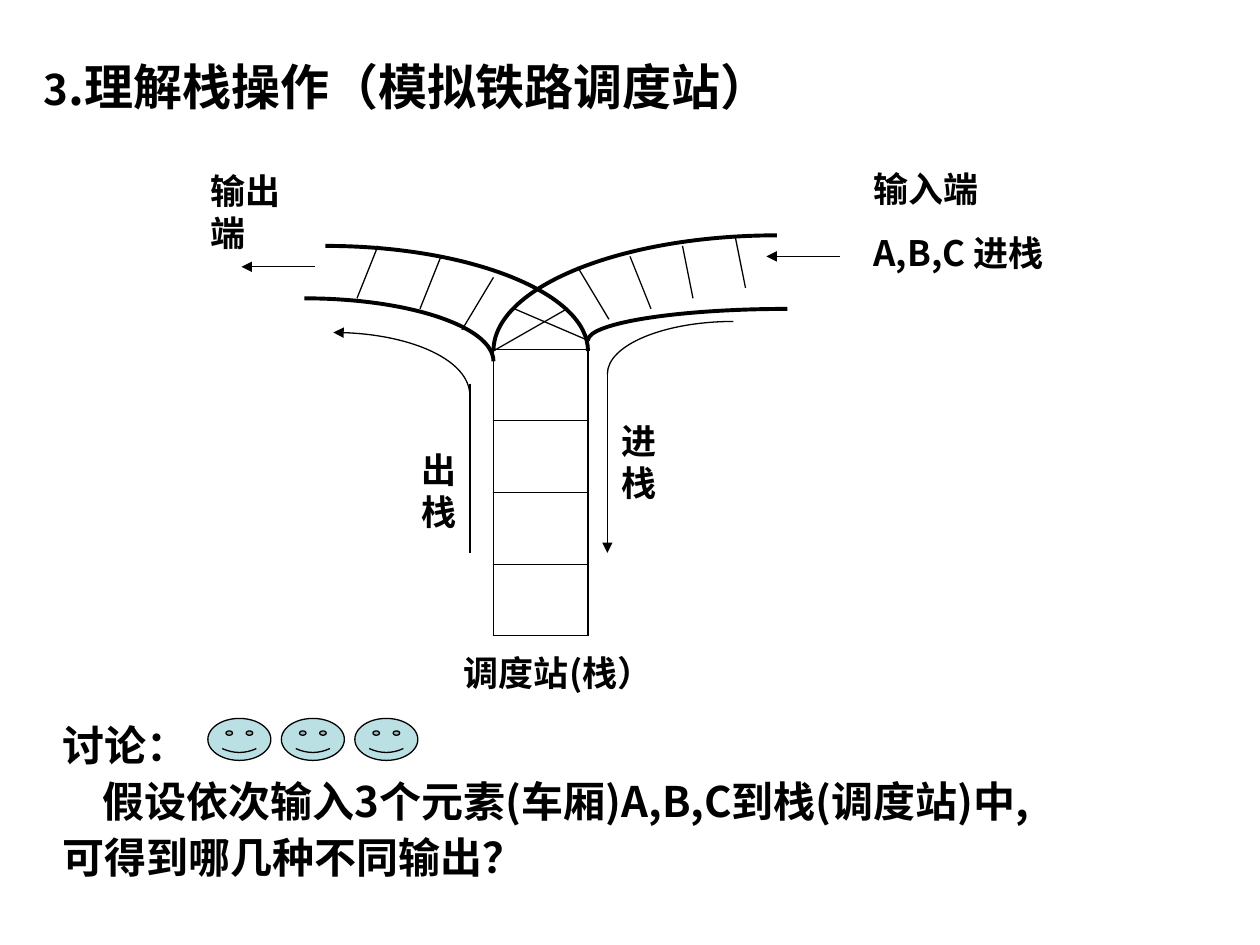
import pptx
import pptx.util
import pptx.dml.color
import pptx.enum.shapes
import pptx.oxml
import pptx.oxml.ns
from dataclasses import dataclass
from lxml import etree

Pt = pptx.util.Pt
Shape = pptx.enum.shapes.MSO_SHAPE
qn = pptx.oxml.ns.qn


@dataclass(frozen=True)
class Theme:
    font: str = "Noto Sans CJK SC"
    ink: str = "000000"
    face: str = "BBE0E3"
    title: int = 28
    body: int = 24
    label: int = 20
    thin: float = 0.75
    rail: float = 2.25
    edge: float = 1.08
    rule: float = 0.45


THEME = Theme()
UNIT = 6  # points per step of the track grid
BEND = 0.55  # control length of a quarter ellipse


def color(code):
    return pptx.dml.color.RGBColor.from_string(code)


def style(run, size):
    run.font.size = Pt(size)
    run.font.bold = True
    run.font.name = THEME.font
    run.font.color.rgb = color(THEME.ink)
    etree.SubElement(run.font._element, qn("a:ea"), typeface=THEME.font)


def write(slide, box, text, size, before=0, lead=None, wrap=True):
    """Put text in a box, one paragraph a line."""
    frame = slide.shapes.add_textbox(*map(Pt, box)).text_frame
    frame.word_wrap = wrap
    frame.text = text
    for para in frame.paragraphs:
        para.space_before = Pt(before)
        if lead:
            para.line_spacing = lead
        for run in para.runs:
            style(run, size)
    return frame


def stroke(shape, width, arrow=False):
    """Draw the outline in ink, with an arrowhead at its end if asked."""
    shape.line.color.rgb = color(THEME.ink)
    shape.line.width = Pt(width)
    if arrow:
        etree.SubElement(shape.line._get_or_add_ln(), qn("a:tailEnd"), type="triangle")


def line(slide, start, end, arrow=False):
    link = slide.shapes.add_connector(
        pptx.enum.shapes.MSO_CONNECTOR.STRAIGHT, *map(Pt, start + end))
    stroke(link, THEME.thin, arrow)
    etree.SubElement(link._element.spPr, qn("a:effectLst"))


def curve(slide, top, side, width, arrow=False, back=False):
    """Quarter ellipse, level at top and upright at side; back swaps its ends."""
    (x, y), (u, v) = top, side
    knots = [top, (x + BEND * (u - x), y), (u, v - BEND * (v - y)), side]
    if back:
        knots.reverse()
    knots = [tuple(map(Pt, knot)) for knot in knots]
    pen = slide.shapes.build_freeform(*knots[0])
    pen.add_line_segments(knots[1:], close=False)
    arc = pen.convert_to_shape()
    steps = list(arc._element.iter(qn("a:lnTo")))
    track = steps[0].getparent()
    bezier = etree.SubElement(track, qn("a:cubicBezTo"))
    for step in steps:
        bezier.append(step[0])
        track.remove(step)
    arc.fill.background()
    arc.shadow.inherit = False
    stroke(arc, width, arrow)


def border(cell, last):
    props = cell._tc.get_or_add_tcPr()
    base = THEME.edge if last else THEME.rule
    sides = {"L": THEME.edge, "R": THEME.edge, "T": THEME.rule, "B": base}
    for spot, (side, width) in enumerate(sides.items()):
        edge = etree.Element(qn(f"a:ln{side}"), w=str(Pt(width)))
        fill = etree.SubElement(edge, qn("a:solidFill"))
        etree.SubElement(fill, qn("a:srgbClr"), val=THEME.ink)
        props.insert(spot, edge)


def stack(slide, box, count):
    grid = slide.shapes.add_table(count, 1, *map(Pt, box)).table
    grid.first_row = grid.horz_banding = False
    for row in range(count):
        cell = grid.cell(row, 0)
        cell.fill.background()
        border(cell, row == count - 1)


def tracks(slide, left, top):
    """Rails, ties and arrows on a grid that starts at left, top."""
    def at(x, y):
        return left + UNIT * x, top + UNIT * y

    stack(slide, (*at(24, 10.85), 54, 163.6), 4)
    rails = [((6, 6), (24, 12)), ((8, 1), (33, 11)),
             ((51, 0), (24, 11)), ((52, 7), (33, 10))]
    for crest, foot in rails:
        curve(slide, at(*crest), at(*foot), THEME.rail)

    ties = [((26, 7), (33, 10)), ((24, 11), (31, 7)), ((24, 4), (21, 9)),
            ((19, 2), (17, 7)), ((13, 1), (11, 6)), ((32, 3), (35, 8)),
            ((37, 2), (39, 7)), ((42, 1), (43, 6)), ((47, 0), (48, 5))]
    for head, foot in ties:
        line(slide, at(*head), at(*foot))

    line(slide, at(57, 2), at(50, 2), arrow=True)
    line(slide, at(7, 3), at(0, 3), arrow=True)

    push, pop, base = 34.85, 21.75, 30.25
    curve(slide, at(push + 12, 8.2), at(push, 13.2), THEME.thin)
    line(slide, at(push, 13.2), at(push, base), arrow=True)
    line(slide, at(pop, base), at(pop, 14.2))
    curve(slide, at(pop - 13, 9.25), at(pop, 15.25), THEME.thin, arrow=True, back=True)


def labels(slide, left, top):
    size = THEME.label
    write(slide, (left + 354, top - 42.5, 126, 68), "输入端\nA,B,C 进栈", size, 12.5)
    write(slide, (left + 210, top + 101.5, 36, 55.5), "进栈", size)
    write(slide, (left + 96, top + 118, 34.5, 55.5), "出\n栈", size, wrap=False)
    write(slide, (left - 25, top - 41, 74, 31.5), "输出端", size, wrap=False)
    write(slide, (left + 120, top + 234, 132, 31.5), "调度站(栈）", size)


def heading(slide, left, top):
    frame = write(slide, (left, top, 678, 40), "3.理解栈操作（模拟铁路调度站）", THEME.title, lead=0.9)
    para = frame.paragraphs[0]
    para.text = "3"
    para.add_run().text = ".理解栈操作（模拟铁路调度站）"
    for run, size in zip(para.runs, (THEME.body, THEME.title)):
        style(run, size)


def faces(slide, left, top, count):
    for spot in range(count):
        face = slide.shapes.add_shape(
            Shape.SMILEY_FACE, Pt(left + 42 * spot), Pt(top), Pt(36), Pt(24))
        face.fill.solid()
        face.fill.fore_color.rgb = color(THEME.face)
        face.shadow.inherit = False
        stroke(face, THEME.thin)


def question(slide, left, top):
    text = "讨论：\n假设依次输入3个元素(车厢)A,B,C到栈(调度站)中,\n可得到哪几种不同输出？"
    frame = write(slide, (left, top, 668, 104), text, THEME.body, 6, 0.9)
    frame.paragraphs[1]._p.get_or_add_pPr().set("indent", str(Pt(23)))
    faces(slide, left + 90, top - 0.5, 3)


def main():
    deck = pptx.Presentation()
    deck.slide_width, deck.slide_height = Pt(720), Pt(540)
    slide = deck.slides.add_slide(deck.slide_layouts[6])
    heading(slide, 18, 32.4)
    tracks(slide, 138, 134.5)
    labels(slide, 138, 134.5)
    question(slide, 28.8, 411)
    deck.save("out.pptx")


if __name__ == "__main__":
    main()
